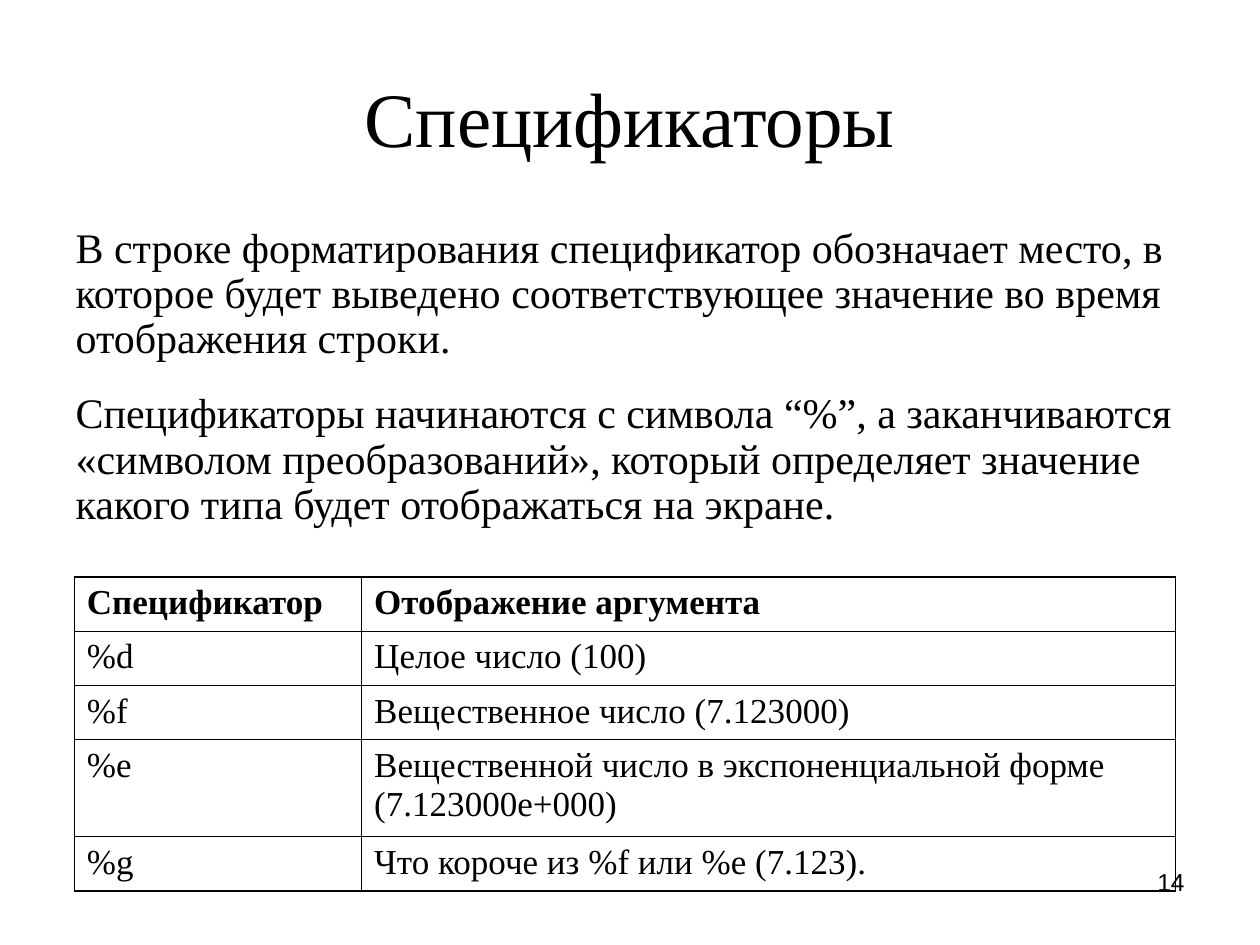
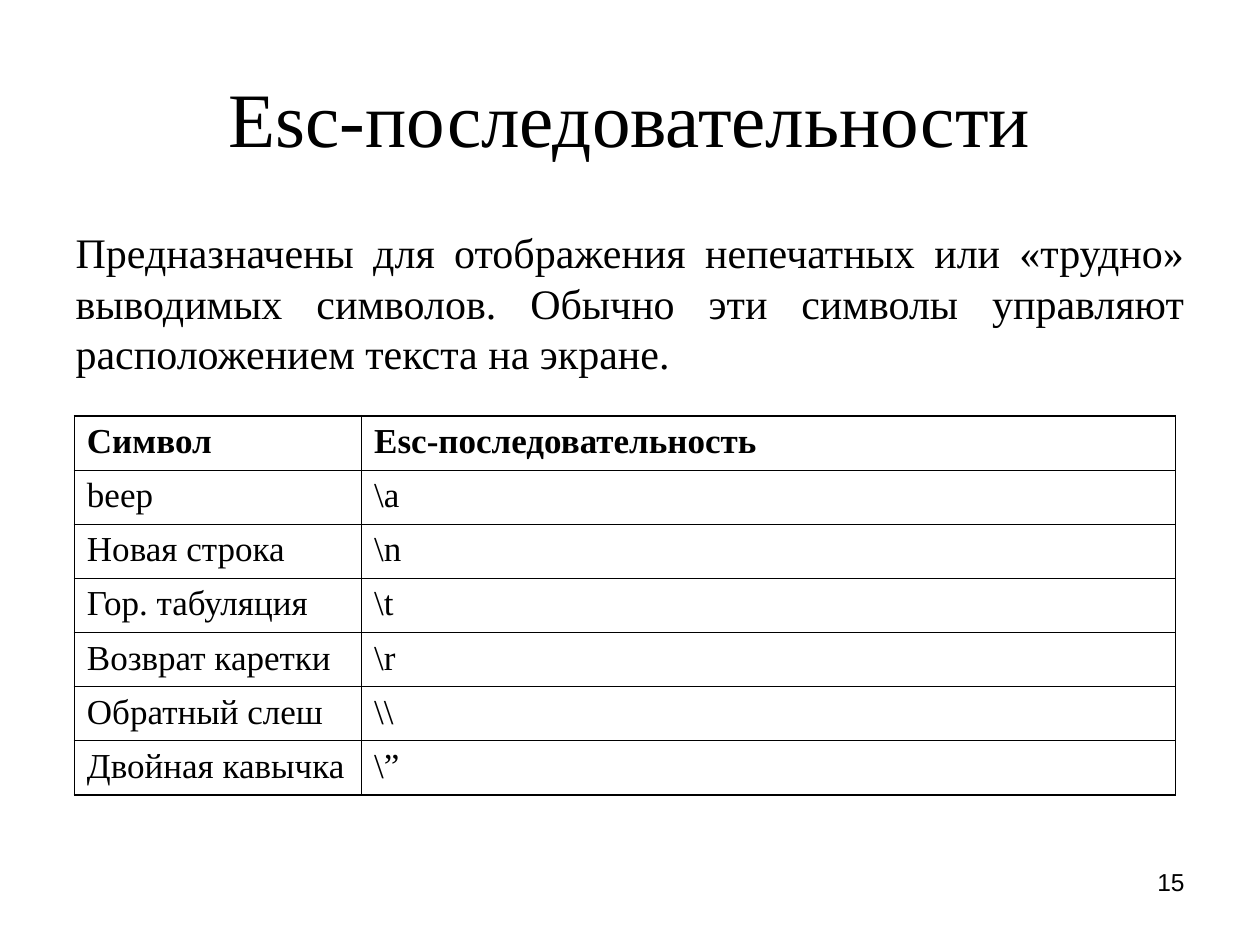
"""Builds two slides on format specifiers and escape sequences."""
from dataclasses import dataclass

from pptx import Presentation
from pptx.dml.color import RGBColor
from pptx.enum.text import MSO_ANCHOR as Anchor, MSO_AUTO_SIZE as AutoSize, PP_ALIGN as Align
from pptx.oxml.ns import qn
from pptx.util import Inches, Pt
from lxml.etree import SubElement


@dataclass(frozen=True)
class Theme:
    """Colours, fonts and sizes shared by the slides."""
    ink: str = "000000"
    serif: str = "Times New Roman"
    sans: str = "Arial"
    title_size: int = 44
    body_size: int = 24
    cell_size: int = 20
    number_size: int = 14
    outer_line: float = 1.08
    inner_line: float = 0.45


THEME = Theme()
COLUMN_WIDTHS = (2.28, 6.46)
ROW_HEIGHT = 0.43
TALL_ROW_HEIGHT = 0.77

SPECIFIERS = [
    ("Спецификатор", "Отображение аргумента"),
    ("%d", "Целое число (100)"),
    ("%f", "Вещественное число (7.123000)"),
    ("%e", "Вещественной число в экспоненциальной форме (7.123000e+000)"),
    ("%g", "Что короче из %f или %e (7.123)."),
]
SPECIFIER_NOTES = [
    "В строке форматирования спецификатор обозначает место, в которое будет "
    "выведено соответствующее значение во время отображения строки.",
    "Спецификаторы начинаются с символа “%”, а заканчиваются «символом "
    "преобразований», который определяет значение какого типа будет "
    "отображаться на экране.",
]
ESCAPES = [
    ("Символ", "Esc-последовательность"),
    ("beep", r"\a"),
    ("Новая строка", r"\n"),
    ("Гор. табуляция", r"\t"),
    ("Возврат каретки", r"\r"),
    ("Обратный слеш", r"\\"),
    ("Двойная кавычка", r"\”"),
]
ESCAPE_NOTES = [
    "Предназначены для отображения непечатных или «трудно» выводимых символов. "
    "Обычно эти символы управляют расположением текста на экране.",
]


def apply(target, formats):
    """Sets each attribute named in formats on the target."""
    for attribute, value in formats.items():
        setattr(target, attribute, value)


def place(shape, left, top, width, height):
    """Moves and sizes a shape, in inches."""
    apply(shape, {"left": Inches(left), "top": Inches(top),
                  "width": Inches(width), "height": Inches(height)})


def write(paragraph, words, size, font=THEME.serif, bold=False, **layout):
    """Writes one run of formatted text into a paragraph."""
    run = paragraph.add_run()
    run.text = words
    apply(run.font, {"name": font, "size": Pt(size), "bold": bold})
    run.font.color.rgb = RGBColor.from_string(THEME.ink)
    apply(paragraph, layout)


def add_title(slide, words):
    """Fills the title placeholder."""
    heading = slide.shapes.title
    place(heading, 0.5, 0.3, 9, 1.25)
    apply(heading.text_frame, {"vertical_anchor": Anchor.MIDDLE, "auto_size": AutoSize.NONE})
    write(heading.text_frame.paragraphs[0], words, THEME.title_size, alignment=Align.CENTER)


def add_notes_text(slide, notes, height, **layout):
    """Fills the body placeholder with unbulleted paragraphs."""
    body = slide.placeholders[1]
    place(body, 0.5, 1.75, 9, height)
    frame = body.text_frame
    frame.auto_size = AutoSize.NONE
    for index, note in enumerate(notes):
        paragraph = frame.add_paragraph() if index else frame.paragraphs[0]
        write(paragraph, note, THEME.body_size, space_before=Pt(17 if index else 6), **layout)
        properties = paragraph._p.get_or_add_pPr()
        properties.set("marL", "0")
        properties.set("indent", "0")
        SubElement(properties, qn("a:buNone"))


def draw_borders(cell, outer_sides):
    """Draws the four cell borders, thicker on the outer sides."""
    properties = cell._tc.get_or_add_tcPr()
    for side in "LRTB":
        width = THEME.outer_line if side in outer_sides else THEME.inner_line
        line = SubElement(properties, qn(f"a:ln{side}"), w=str(Pt(width)))
        fill = SubElement(line, qn("a:solidFill"))
        SubElement(fill, qn("a:srgbClr"), val=THEME.ink)


def add_reference_table(slide, entries, top, tall_rows=()):
    """Adds a two-column ruled table with a bold heading row."""
    heights = [TALL_ROW_HEIGHT if row in tall_rows else ROW_HEIGHT for row in range(len(entries))]
    table = slide.shapes.add_table(
        len(entries), len(COLUMN_WIDTHS), Inches(0.59), Inches(top),
        Inches(sum(COLUMN_WIDTHS)), Inches(sum(heights))).table
    apply(table, {"first_row": False, "horz_banding": False})
    for column, width in zip(table.columns, COLUMN_WIDTHS):
        column.width = Inches(width)
    for row, height in zip(table.rows, heights):
        row.height = Inches(height)
    for row, entry in enumerate(entries):
        for column, words in enumerate(entry):
            cell = table.cell(row, column)
            write(cell.text_frame.paragraphs[0], words, THEME.cell_size,
                  bold=row == 0, space_before=Pt(5))
            outer_sides = "LR"[column]
            outer_sides += "T" if row == 0 else ""
            outer_sides += "B" if row == len(entries) - 1 else ""
            draw_borders(cell, outer_sides)
            cell.fill.background()


def add_page_number(slide, number):
    """Adds the page number at the lower right."""
    corner = slide.shapes.add_textbox(Inches(7.17), Inches(6.83), Inches(2.33), Inches(0.52))
    corner.text_frame.word_wrap = True
    write(corner.text_frame.paragraphs[0], str(number), THEME.number_size,
          font=THEME.sans, alignment=Align.RIGHT)


def main():
    """Builds and saves the presentation."""
    deck = Presentation()
    apply(deck, {"slide_width": Inches(10), "slide_height": Inches(7.5)})
    layout = deck.slide_layouts[1]

    specifiers = deck.slides.add_slide(layout)
    add_title(specifiers, "Спецификаторы")
    add_notes_text(specifiers, SPECIFIER_NOTES, 2.71, line_spacing=0.9)
    add_reference_table(specifiers, SPECIFIERS, 4.58, tall_rows=(3,))
    add_page_number(specifiers, 14)

    escapes = deck.slides.add_slide(layout)
    add_title(escapes, "Esc-последовательности")
    add_notes_text(escapes, ESCAPE_NOTES, 1.45, alignment=Align.JUSTIFY)
    add_reference_table(escapes, ESCAPES, 3.3)
    add_page_number(escapes, 15)

    deck.save("out.pptx")


if __name__ == "__main__":
    main()
